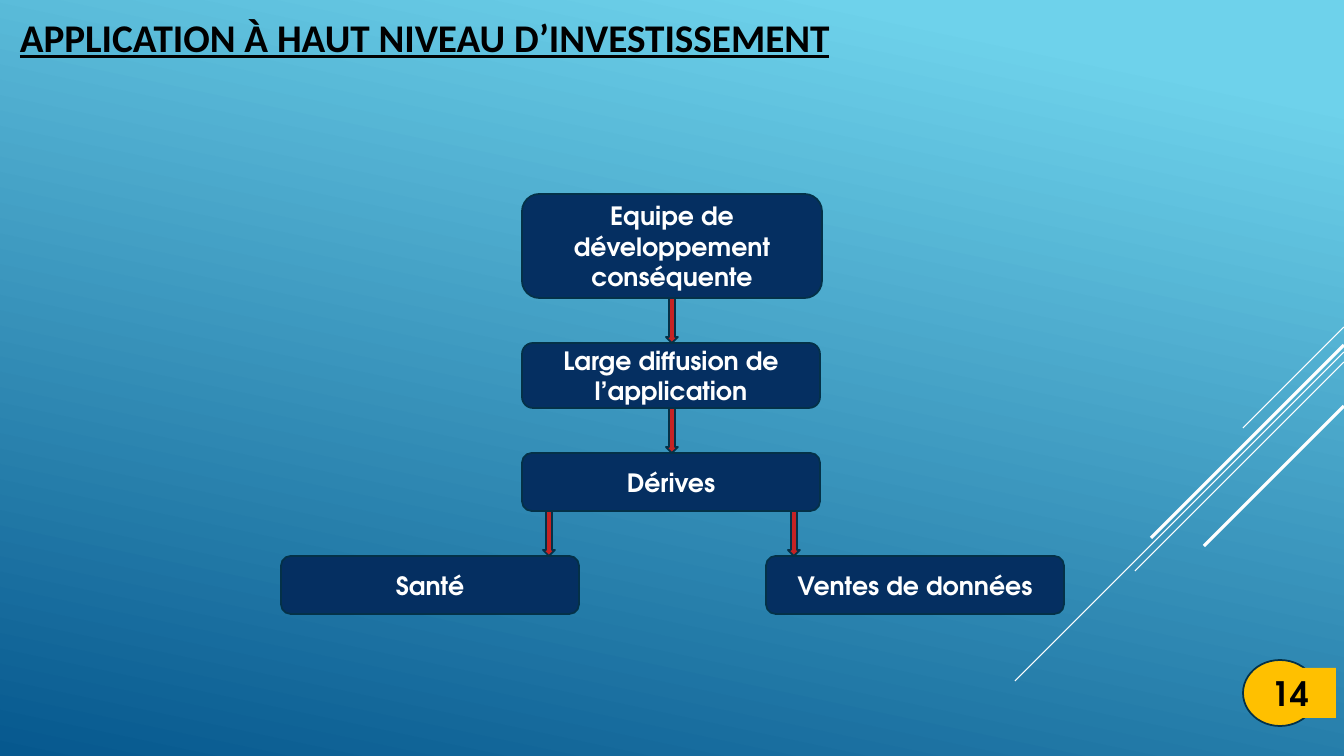
import pptx
import pptx.util
import pptx.dml.color
import pptx.enum.shapes
import pptx.enum.text
import pptx.oxml.ns
from lxml import etree

PX = 9144000 / 1008
SHAPE = pptx.enum.shapes.MSO_SHAPE
ALIGN = pptx.enum.text.PP_ALIGN
COLORS = {
    "sky": "6ED2EB", "deep": "06588E", "navy": "052F61", "outline": "043148",
    "red": "C62324", "amber": "FFC000", "white": "FFFFFF", "black": "000000",
}
ADVENTOR = "TeX Gyre Adventor"


def px(n):
    return round(n * PX)


def rgb(name):
    return pptx.dml.color.RGBColor.from_string(COLORS[name])


def add_shape(s, kind, box, fill, outlined=True):
    sp = s.shapes.add_shape(kind, *map(px, box))
    sp.shadow.inherit = False
    sp.fill.solid()
    sp.fill.fore_color.rgb = rgb(fill)
    if outlined:
        sp.line.color.rgb = rgb("outline")
        sp.line.width = pptx.util.Pt(1.25)
    else:
        sp.line.fill.background()
    return sp


def write(sp, text, size, color, font=ADVENTOR, align=ALIGN.LEFT, underline=None):
    tf = sp.text_frame
    tf.word_wrap = True
    tf.vertical_anchor = pptx.enum.text.MSO_ANCHOR.MIDDLE
    p = tf.paragraphs[0]
    p.text = text
    p.alignment = align
    p.font.name = font
    p.font.size = pptx.util.Pt(size)
    p.font.bold = True
    p.font.underline = underline
    p.font.color.rgb = rgb(color)


def paint_background(s):
    fill = s.background.fill
    fill.gradient()
    fill.gradient_angle = 258
    for stop, name, position in zip(fill.gradient_stops, ("sky", "deep"), (0.1, 1)):
        stop.color.rgb = rgb(name)
        stop.position = position


def add_diagonals(s, right):
    """Draw the 45° lines that fall leftwards from the right edge."""
    for top, run, weight in ((327, 101, 0.75), (352, 329, 0.75), (362, 209, 0.75),
                             (345, 193, 2.25), (406, 140, 2.25)):
        line = s.shapes.add_connector(
            pptx.enum.shapes.MSO_CONNECTOR.STRAIGHT,
            px(right), px(top), px(right - run), px(top + run))
        line.line.color.rgb = rgb("white")
        line.line.width = pptx.util.Pt(weight)
        etree.SubElement(line._element.spPr, pptx.oxml.ns.qn("a:effectLst"))


def add_title(s, x, y, w, h):
    sp = s.shapes.add_textbox(*map(px, (x, y, w, h)))
    write(sp, "APPLICATION À HAUT NIVEAU D’INVESTISSEMENT", 28, "black",
          font="Calibri", underline=True)


def add_flow(s, x, y, w):
    """Stack three steps on the centre line and split the last into two outcomes."""
    box_w, low_h, gap, arrow_w = 298, 58, 45, 12
    center = x + w // 2

    def add_step(left, top, width, height, text):
        sp = add_shape(s, SHAPE.ROUNDED_RECTANGLE, (left, top, width, height), "navy")
        write(sp, text, 18, "white", align=ALIGN.CENTER)

    def add_arrow(middle, top):
        add_shape(s, SHAPE.DOWN_ARROW, (middle - arrow_w // 2, top, arrow_w, gap), "red")

    step_left = center - 150
    steps = (("Equipe de développement conséquente", 300, 104),
             ("Large diffusion de l’application", box_w, 65),
             ("Dérives", box_w, low_h))
    arrow_tops = []
    for text, width, height in steps:
        add_step(step_left, y, width, height, text)
        arrow_tops.append(y + height)
        y += height + gap
    for top in arrow_tops[:-1]:
        add_arrow(center, top)

    outcomes = (("Santé", x, center - 123), ("Ventes de données", x + w - box_w, center + 122))
    for text, left, middle in outcomes:
        add_step(left, y, box_w, low_h, text)
        add_arrow(middle, arrow_tops[-1])


def add_page_number(s, x, y, w, h):
    offset, tab_h = 19, 50
    add_shape(s, SHAPE.OVAL, (x, y, w - offset, h), "amber")
    tab = add_shape(s, SHAPE.RECTANGLE,
                    (x + offset, y + (h - tab_h) // 2, w - offset, tab_h), "amber",
                    outlined=False)
    write(tab, "14", 24, "black")


def main():
    prs = pptx.Presentation()
    prs.slide_width, prs.slide_height = px(1344), px(756)
    s = prs.slides.add_slide(prs.slide_layouts[6])
    paint_background(s)
    add_diagonals(s, 1344)
    add_flow(s, 281, 194, 783)
    add_page_number(s, 1243, 660, 93, 66)
    add_title(s, 10, 8, 1066, 58)
    prs.save("out.pptx")


if __name__ == "__main__":
    main()
